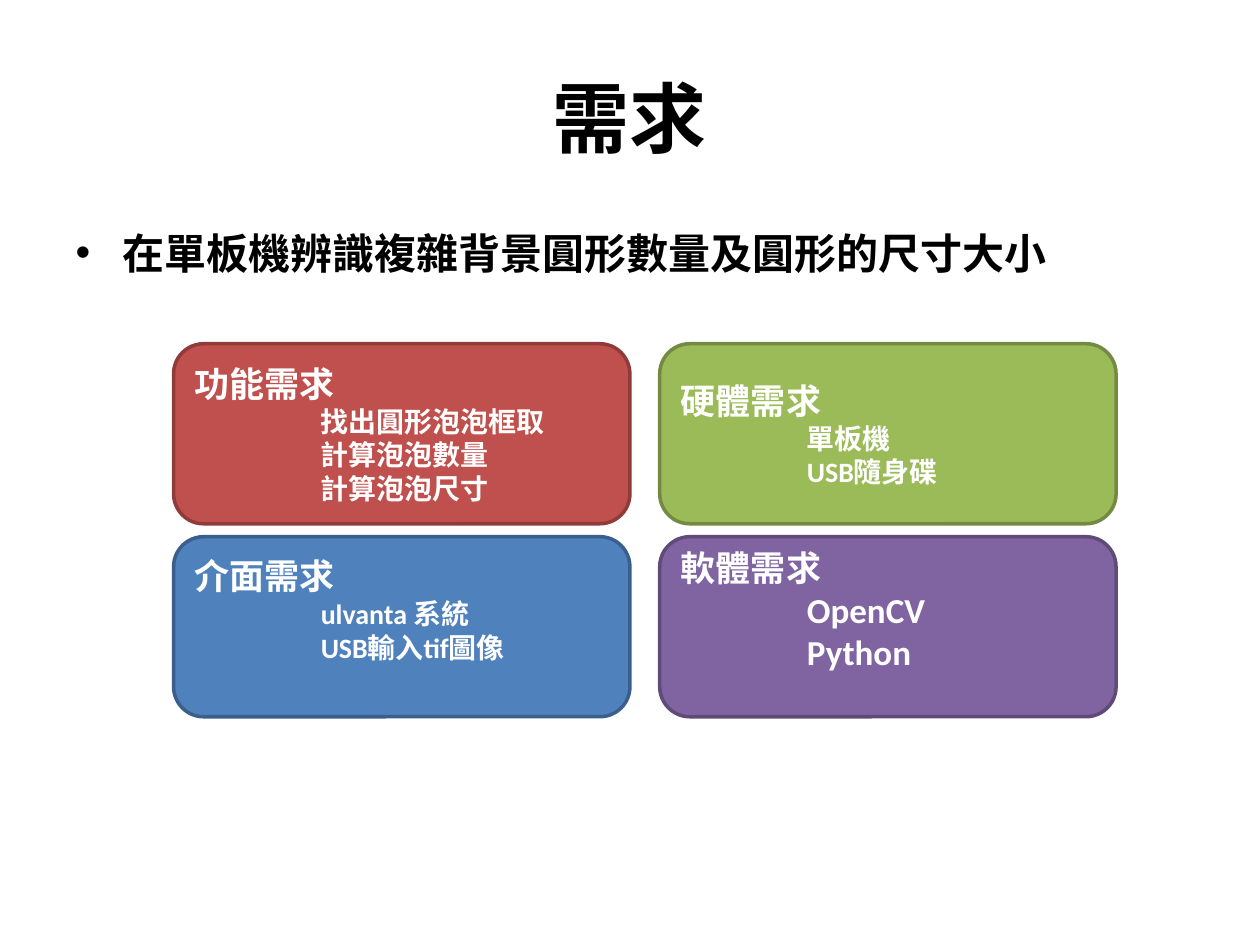
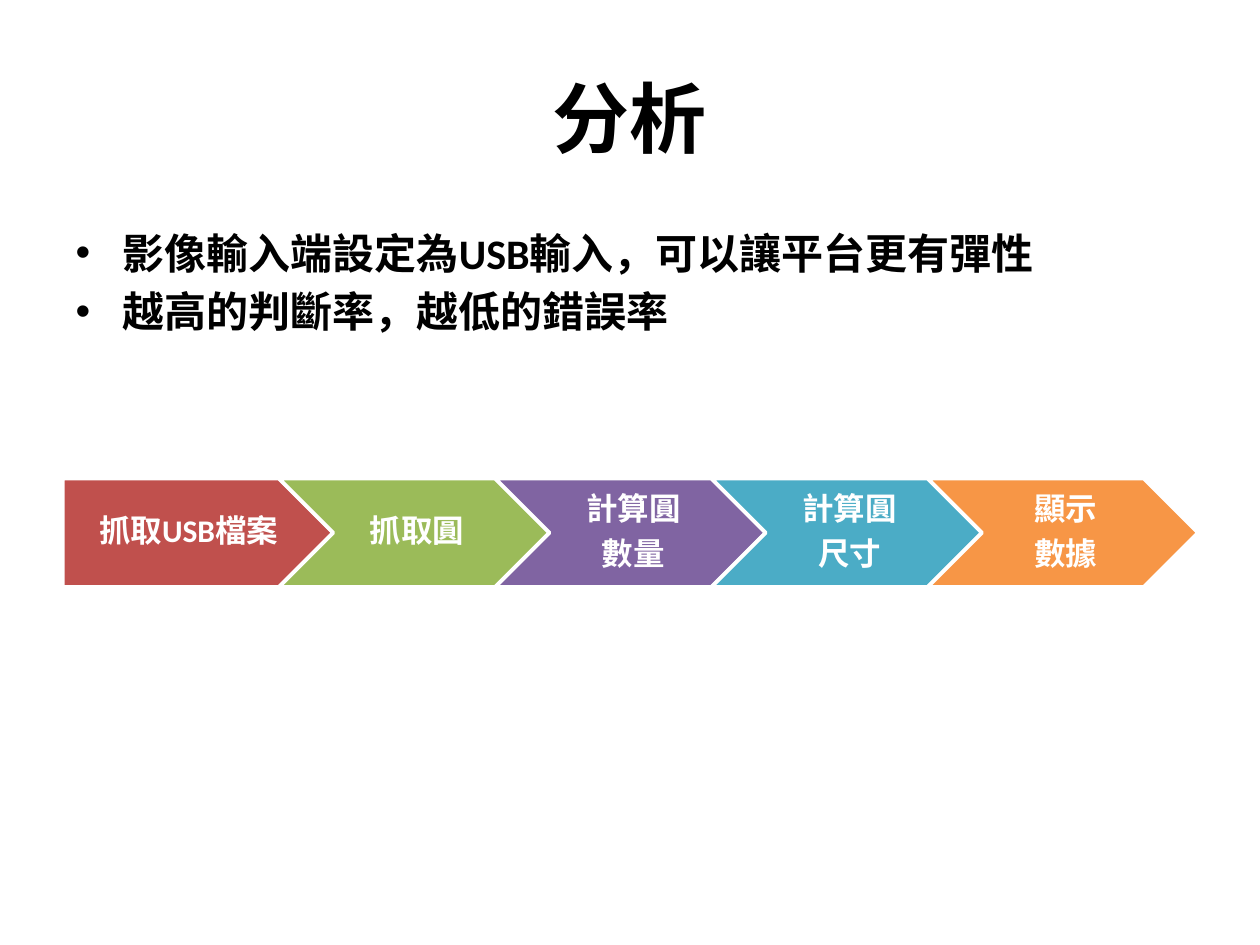
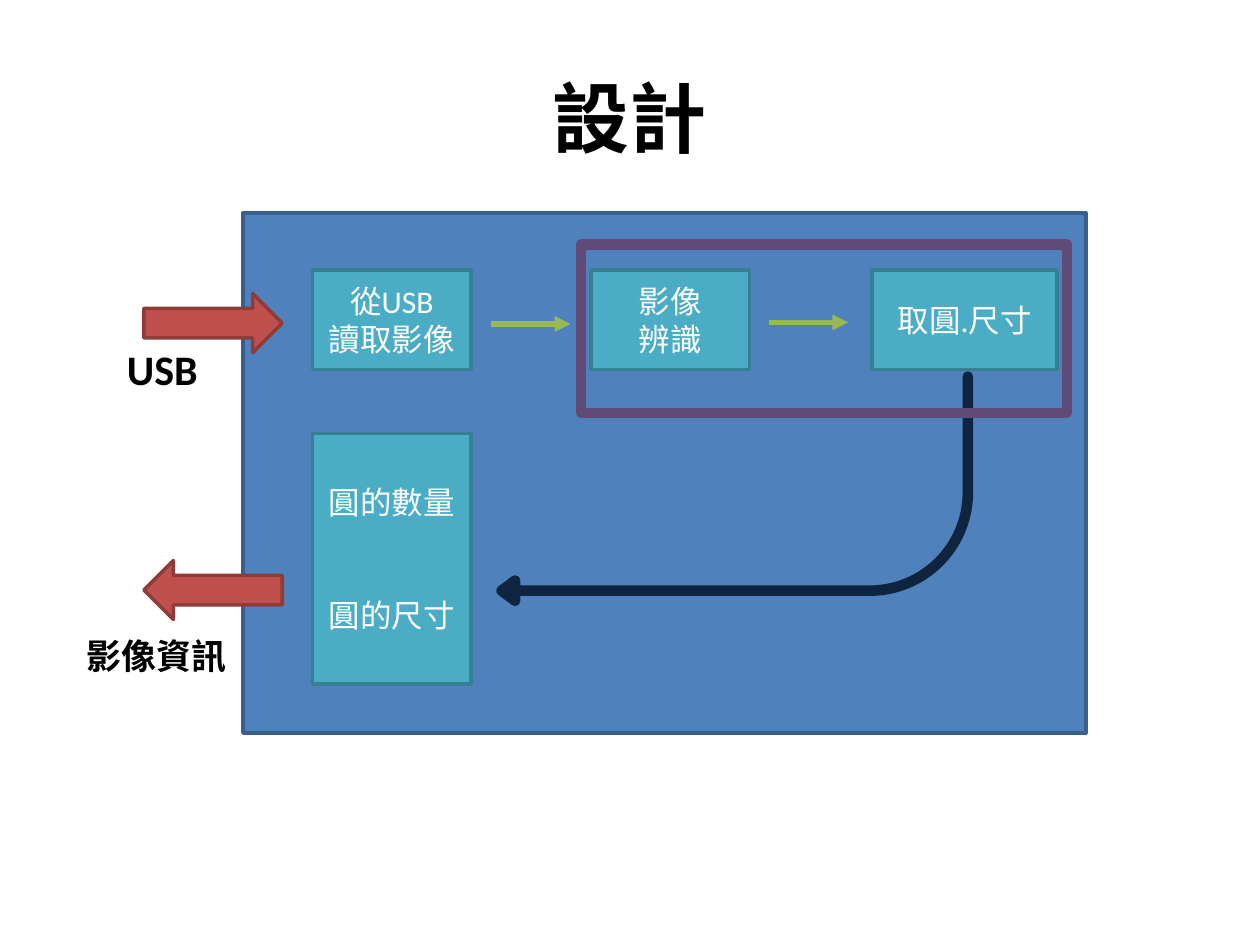
import pptx
import pptx.dml.color
import pptx.enum.shapes
import pptx.enum.text
import pptx.oxml.ns
import pptx.util
from lxml import etree

Cm = pptx.util.Cm
Pt = pptx.util.Pt
SHAPE = pptx.enum.shapes.MSO_SHAPE
ALIGN = pptx.enum.text.PP_ALIGN
ANCHOR = pptx.enum.text.MSO_ANCHOR

# Shared style
FONT = "Calibri"
BLACK, WHITE = "000000", "FFFFFF"
BLUE, BLUE_EDGE = "4F81BD", "3A5F8C"
RED, RED_EDGE = "C0504D", "8E3B39"
GREEN, GREEN_EDGE = "9BBB59", "738A42"
PURPLE, PURPLE_EDGE = "8064A2", "5F4A78"
TEAL, TEAL_EDGE = "4BACC6", "377F92"
ORANGE, NAVY, ARROW_GREEN = "F79646", "0F243E", "98B955"
TITLE_AREA = (1.27, 0.76, 22.86, 3.18)
BODY_AREA = (1.27, 4.45, 22.86, 12.57)
BULLET_LAYOUT, TITLE_LAYOUT = 1, 5


def color(value):
    return pptx.dml.color.RGBColor.from_string(value)


def place(shape, area):
    shape.left, shape.top, shape.width, shape.height = map(Cm, area)


def add_run(para, text, size, ink, bold=False):
    span = para.add_run()
    span.text = text
    span.font.name = FONT
    span.font.size = Pt(size)
    span.font.bold = bold
    span.font.color.rgb = color(ink)


def write_lines(frame, lines, size, ink, bold=False, align=None):
    """Write one paragraph per line and return the paragraphs."""
    for index, line in enumerate(lines):
        para = frame.add_paragraph() if index else frame.paragraphs[0]
        para.alignment = align
        add_run(para, line, size, ink, bold)
    return frame.paragraphs


def add_page(deck, title, bullets=()):
    layout = BULLET_LAYOUT if bullets else TITLE_LAYOUT
    page = deck.slides.add_slide(deck.slide_layouts[layout])
    place(page.shapes.title, TITLE_AREA)
    write_lines(page.shapes.title.text_frame, [title], 44, BLACK, True, ALIGN.CENTER)
    if bullets:
        body = page.placeholders[1]
        place(body, BODY_AREA)
        write_lines(body.text_frame, bullets, 24, BLACK, True)
    return page


def add_box(page, kind, area, fill, edge, weight=2):
    box = page.shapes.add_shape(kind, *map(Cm, area))
    box.shadow.inherit = False
    if fill:
        box.fill.solid()
        box.fill.fore_color.rgb = color(fill)
    else:
        box.fill.background()
    box.line.color.rgb = color(edge)
    box.line.width = Pt(weight)
    box.text_frame.word_wrap = True
    box.text_frame.vertical_anchor = ANCHOR.MIDDLE
    return box


def add_card(page, area, fill, edge, heading, items, item_size, bottom):
    """Rounded card: a heading above indented items."""
    box = add_box(page, SHAPE.ROUNDED_RECTANGLE, area, fill, edge)
    frame = box.text_frame
    frame.margin_bottom = Cm(bottom)
    heading_para = frame.paragraphs[0]
    heading_para.alignment = ALIGN.LEFT
    add_run(heading_para, heading, 20, WHITE, True)
    for item in items:
        para = frame.add_paragraph()
        para.alignment = ALIGN.LEFT
        para._p.get_or_add_pPr().set("marL", str(Cm(2.54)))
        add_run(para, item, item_size, WHITE, True)


def add_step(page, kind, area, fill, lines):
    """One link of the process chain."""
    box = add_box(page, kind, area, fill, WHITE)
    frame = box.text_frame
    frame.margin_left = Cm(0.25 if kind == SHAPE.PENTAGON else 0.2)
    frame.margin_right = Cm(0.08)
    for para in write_lines(frame, lines, 18, WHITE, True, ALIGN.CENTER):
        para.line_spacing = 0.9
        para.space_after = Pt(6.3)


def add_module(page, area, lines, gap=0):
    box = add_box(page, SHAPE.RECTANGLE, area, TEAL, TEAL_EDGE)
    paras = write_lines(box.text_frame, lines, 18, WHITE, align=ALIGN.CENTER)
    if gap:
        paras[-1].space_before = Pt(gap)


def add_label(page, area, text, size):
    box = page.shapes.add_textbox(*map(Cm, area))
    box.text_frame.word_wrap = True
    write_lines(box.text_frame, [text], size, BLACK, True)


def add_flow_arrow(page, left, top, length):
    line = page.shapes.add_connector(
        pptx.enum.shapes.MSO_CONNECTOR.STRAIGHT,
        Cm(left), Cm(top), Cm(left + length), Cm(top))
    line.line.color.rgb = color(ARROW_GREEN)
    line.line.width = Pt(3)
    tail = etree.SubElement(line.line._get_or_add_ln(), pptx.oxml.ns.qn("a:tailEnd"))
    tail.set("type", "triangle")
    etree.SubElement(line._element.spPr, pptx.oxml.ns.qn("a:effectLst"))


def build_requirements(deck):
    page = add_page(deck, "需求", ["在單板機辨識複雜背景圓形數量及圓形的尺寸大小"])
    # Two by two grid; the lower cards keep one line free at the bottom
    cards = [
        (RED, RED_EDGE, "功能需求",
         ["找出圓形泡泡框取", "計算泡泡數量", "計算泡泡尺寸"], 16),
        (GREEN, GREEN_EDGE, "硬體需求", ["單板機", "USB隨身碟"], 16),
        (BLUE, BLUE_EDGE, "介面需求", ["ulvanta 系統", "USB輸入tif圖像"], 16),
        (PURPLE, PURPLE_EDGE, "軟體需求", ["OpenCV", "Python"], 20),
    ]
    for index, (fill, edge, heading, items, size) in enumerate(cards):
        row, column = divmod(index, 2)
        area = (3.5 + 9.8 * column, 6.93 + 3.89 * row, 9.2, 3.63)
        add_card(page, area, fill, edge, heading, items, size, 0.82 if row else 0.13)


def build_analysis(deck):
    page = add_page(deck, "分析", [
        "影像輸入端設定為USB輸入，可以讓平台更有彈性",
        "越高的判斷率，越低的錯誤率",
    ])
    # Process chain at an even pitch
    steps = [
        (RED, ["抓取USB檔案"]),
        (GREEN, ["抓取圓"]),
        (PURPLE, ["計算圓", "數量"]),
        (TEAL, ["計算圓", "尺寸"]),
        (ORANGE, ["顯示", "數據"]),
    ]
    for index, (fill, lines) in enumerate(steps):
        kind = SHAPE.CHEVRON if index else SHAPE.PENTAGON
        add_step(page, kind, (1.27 + 4.36 * index, 9.65, 5.44, 2.18), fill, lines)


def build_design(deck):
    page = add_page(deck, "設計")
    # System area with its input and output
    add_box(page, SHAPE.RECTANGLE, (4.9, 4.29, 16.99, 10.49), BLUE, BLUE_EDGE)
    for top, turn in ((5.92, 0), (11.3, 180)):
        arrow = add_box(page, SHAPE.RIGHT_ARROW, (2.9, top, 2.79, 1.19), RED, RED_EDGE)
        arrow.rotation = turn
    add_label(page, (2.31, 6.81, 2.59, 1.27), "USB", 24)
    add_label(page, (1.5, 12.67, 3.4, 1.12), "影像資訊", 20)

    # Processing modules
    add_module(page, (6.3, 5.44, 3.2, 2.01), ["從USB", "讀取影像"])
    add_flow_arrow(page, 9.9, 6.53, 1.6)
    add_module(page, (11.91, 5.44, 3.2, 2.01), ["影像", "辨識"])
    add_flow_arrow(page, 15.5, 6.5, 1.6)
    add_module(page, (17.58, 5.44, 3.73, 2.01), ["取圓.尺寸"])

    # Way back to the results
    bend = add_box(page, SHAPE.BENT_ARROW, (10.11, 7.59, 9.4, 4.52), BLUE, NAVY, 6)
    bend.rotation = 180
    for index, value in enumerate((0, 0.045, 0.06, 0.438)):
        bend.adjustments[index] = value
    add_module(page, (6.3, 8.74, 3.2, 5.05), ["圓的數量", "圓的尺寸"], gap=43)

    # Frame around the recognition modules
    add_box(page, SHAPE.RECTANGLE, (11.71, 4.93, 9.8, 3.4), None, PURPLE_EDGE, 6)


def main():
    deck = pptx.Presentation()
    deck.slide_width, deck.slide_height = Cm(25.4), Cm(19.05)
    build_requirements(deck)
    build_analysis(deck)
    build_design(deck)
    deck.save("out.pptx")


main()
